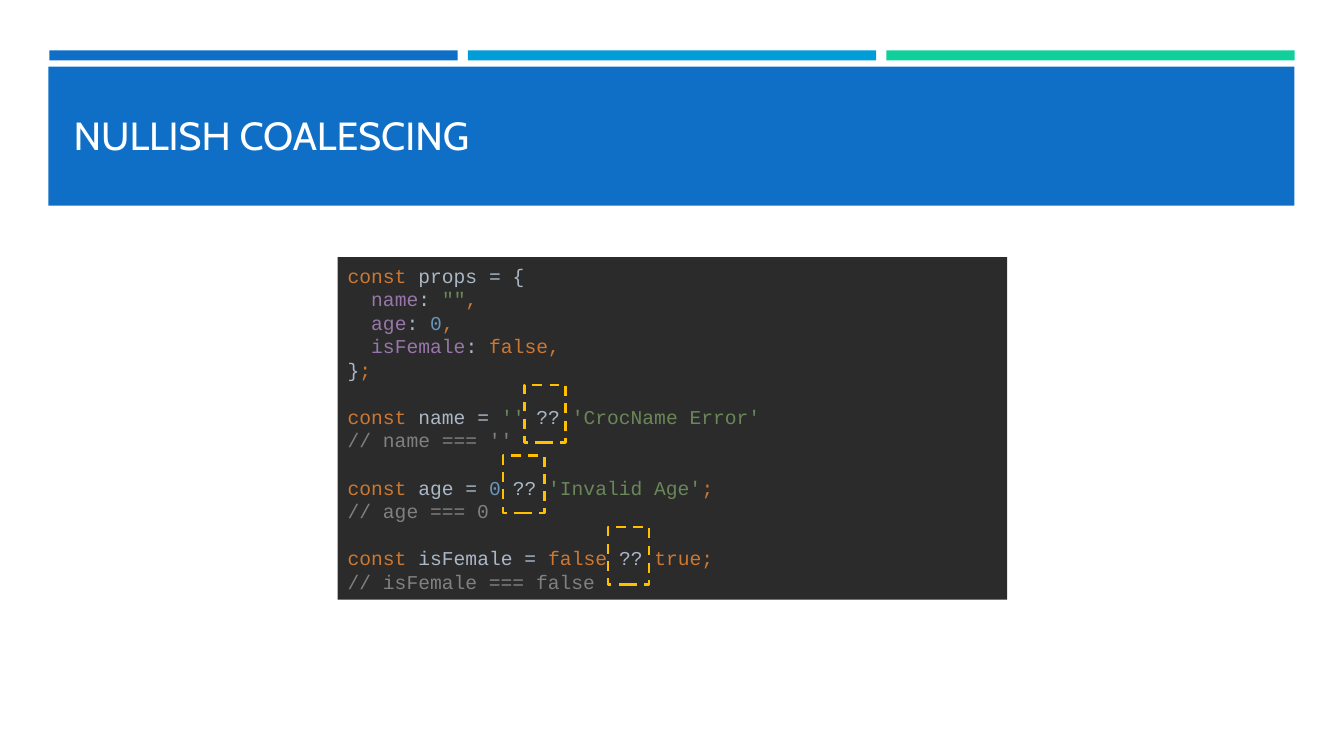
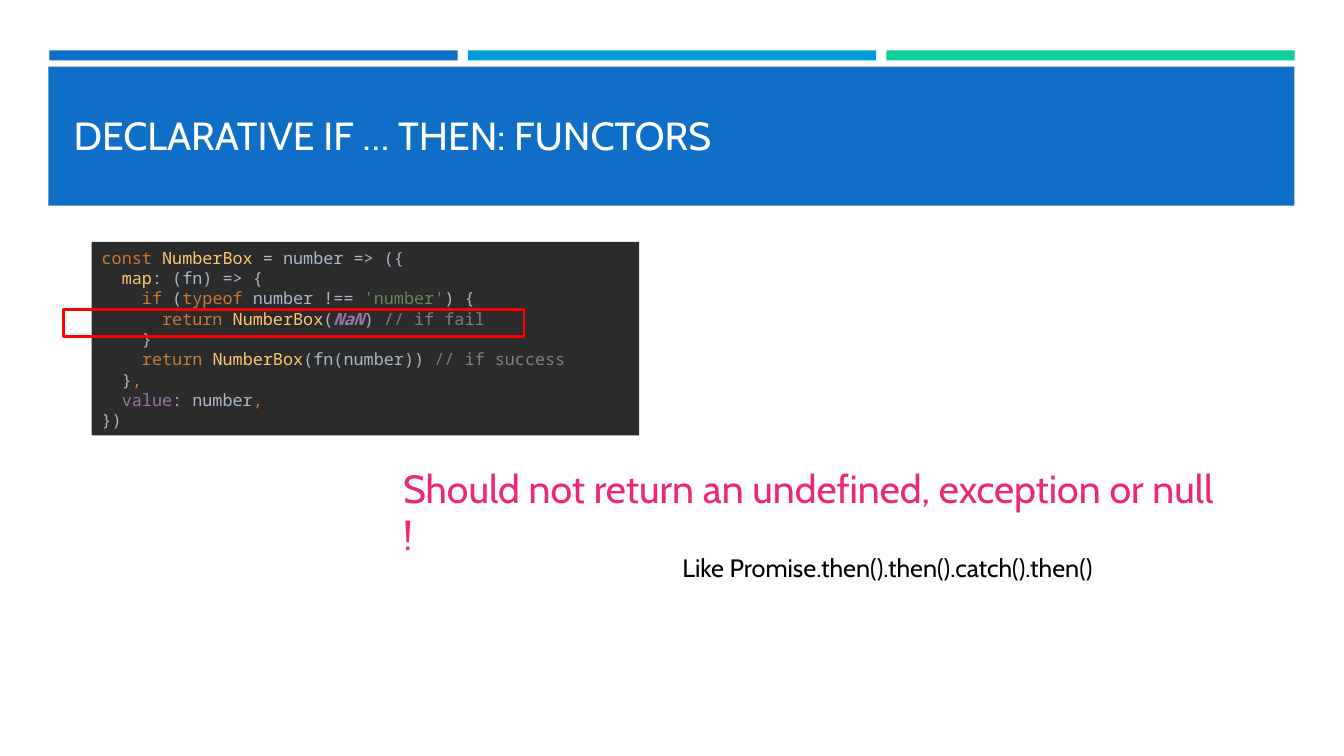
from pptx import Presentation
from pptx.dml.color import RGBColor
from pptx.enum.dml import MSO_LINE
from pptx.enum.shapes import MSO_SHAPE
from pptx.enum.text import MSO_ANCHOR, PP_ALIGN
from pptx.util import Pt

PX = 9144
RECT = MSO_SHAPE.RECTANGLE
DASH = MSO_LINE.DASH
MIDDLE = MSO_ANCHOR.MIDDLE
LEFT = PP_ALIGN.LEFT

THEME = {
    "font": "Cabin",
    "size": {"title": 28, "callout": 28, "note": 18},
    "color": {
        "blue": "0F6FC6", "sky": "009DD9", "green": "10CF9B",
        "white": "FFFFFF", "black": "000000", "pink": "EE2676",
        "amber": "FFC000", "red": "FF0000", "editor": "2B2B2B",
        "key": "CC7832", "text": "A9B7C6", "prop": "9876AA", "str": "6A8759",
        "num": "6897BB", "func": "FFC66D", "note": "808080", "const": "9876AA",
    },
}


def color(name):
    return RGBColor.from_string(THEME["color"][name])


def add_box(s, at, fill=None, line=None, dash=None):
    sp = s.shapes.add_shape(RECT, *(v * PX for v in at))
    sp.shadow.inherit = False
    if fill:
        sp.fill.solid()
        sp.fill.fore_color.rgb = color(fill)
    else:
        sp.fill.background()
    if line:
        sp.line.color.rgb = color(line)
        sp.line.width = Pt(1.75)
        sp.line.dash_style = dash
    else:
        sp.line.fill.background()
    return sp


NULLISH = [
    ("key", "const "), ("text", "props = {\n  "),
    ("prop", "name"), ("text", ": "), ("str", '""'), ("key", ",\n  "),
    ("prop", "age"), ("text", ": "), ("num", "0"), ("key", ",\n  "),
    ("prop", "isFemale"), ("text", ": "), ("key", "false,\n"),
    ("text", "}"), ("key", ";\n\nconst "),
    ("text", "name = "), ("str", "'' "), ("text", "?? "), ("str", "'CrocName Error'\n"),
    ("note", "// name === ''\n\n"),
    ("key", "const "), ("text", "age = "), ("num", "0 "), ("text", "?? "),
    ("str", "'Invalid Age'"), ("key", ";\n"),
    ("note", "// age === 0\n\n"),
    ("key", "const "), ("text", "isFemale = "), ("key", "false "), ("text", "?? "),
    ("key", "true;\n"),
    ("note", "// isFemale === false"),
]
FUNCTOR = [
    ("key", "const "), ("func", "NumberBox "), ("text", "= number => ({\n  "),
    ("func", "map"), ("text", ": (fn) => {\n    "),
    ("key", "if "), ("text", "("), ("key", "typeof "), ("text", "number !== "),
    ("str", "'number'"), ("text", ") {\n      "),
    ("key", "return "), ("func", "NumberBox"), ("text", "("), ("const", "NaN"),
    ("text", ") "), ("note", "// if fail\n    "),
    ("text", "}\n    "),
    ("key", "return "), ("func", "NumberBox"), ("text", "(fn(number)) "),
    ("note", "// if success\n  "),
    ("text", "}"), ("key", ",\n  "),
    ("prop", "value"), ("text", ": number"), ("key", ",\n"), ("text", "})"),
]

SLIDES = [
    {
        "title": "NULLISH COALESCING",
        "code": NULLISH, "at": (335, 255, 664, 340),
        "font": "Courier New", "size": 14, "leading": 16.8,
        "marks": [(x, y, 41, 57) for x, y in ((520, 382), (499, 452), (603, 523))],
        "mark_line": "amber", "dash": DASH,
        "texts": [],
    },
    {
        "title": "DECLARATIVE IF … THEN: FUNCTORS",
        "code": FUNCTOR, "at": (91, 240, 543, 192),
        "font": "Noto Sans Mono", "size": 12, "leading": 14.5,
        "marks": [(63, 307, 457, 27)],
        "mark_line": "red", "dash": None,
        "texts": [
            ("Should not return an undefined, exception or null !",
             (390, 456, 830, 57), "callout", "pink"),
            ("Like Promise.then().then().catch().then()",
             (667, 543, 431, 40), "note", "black"),
        ],
    },
]

prs = Presentation()
prs.slide_width, prs.slide_height = 1333 * PX, 750 * PX
layout = prs.slide_layouts[5]
title = layout.placeholders[0]
title.left, title.top, title.width, title.height = (v * PX for v in (63, 80, 1206, 108))
slides = [prs.slides.add_slide(layout) for _ in SLIDES]

bands = [((49 + 415 * i, 50, 405, 10), fill) for i, fill in enumerate(("blue", "sky", "green"))]
bands.append(((48, 66, 1236, 138), "blue"))
for i, (at, fill) in enumerate(bands):
    sp = add_box(slides[0], at, fill)
    sp.element.nvSpPr.cNvPr.set("id", str(20 + i))
    layout.shapes.element.insert(2 + i, sp.element)

for s, content in zip(slides, SLIDES):
    tf = s.shapes.title.text_frame
    tf.text = content["title"]
    tf.vertical_anchor = MIDDLE
    p = tf.paragraphs[0]
    p.alignment = LEFT
    p.font.name = THEME["font"]
    p.font.size = Pt(THEME["size"]["title"])
    p.font.color.rgb = color("white")

    tf = add_box(s, content["at"], "editor").text_frame
    tf.word_wrap = True
    tf.vertical_anchor = MIDDLE
    p = tf.paragraphs[0]
    p.alignment = LEFT
    p.line_spacing = Pt(content["leading"])
    p.font.name = content["font"]
    p.font.size = Pt(content["size"])
    for kind, text in content["code"]:
        for i, part in enumerate(text.split("\n")):
            if i:
                p.add_line_break()
            if part:
                r = p.add_run()
                r.text = part
                r.font.color.rgb = color(kind)
                if kind == "const":
                    r.font.bold = r.font.italic = True

    for at in content["marks"]:
        add_box(s, at, line=content["mark_line"], dash=content["dash"])

    for text, at, size, ink in content["texts"]:
        tf = s.shapes.add_textbox(*(v * PX for v in at)).text_frame
        tf.word_wrap = True
        p = tf.paragraphs[0]
        p.text = text
        p.font.name = THEME["font"]
        p.font.size = Pt(THEME["size"][size])
        p.font.color.rgb = color(ink)

prs.save("out.pptx")
